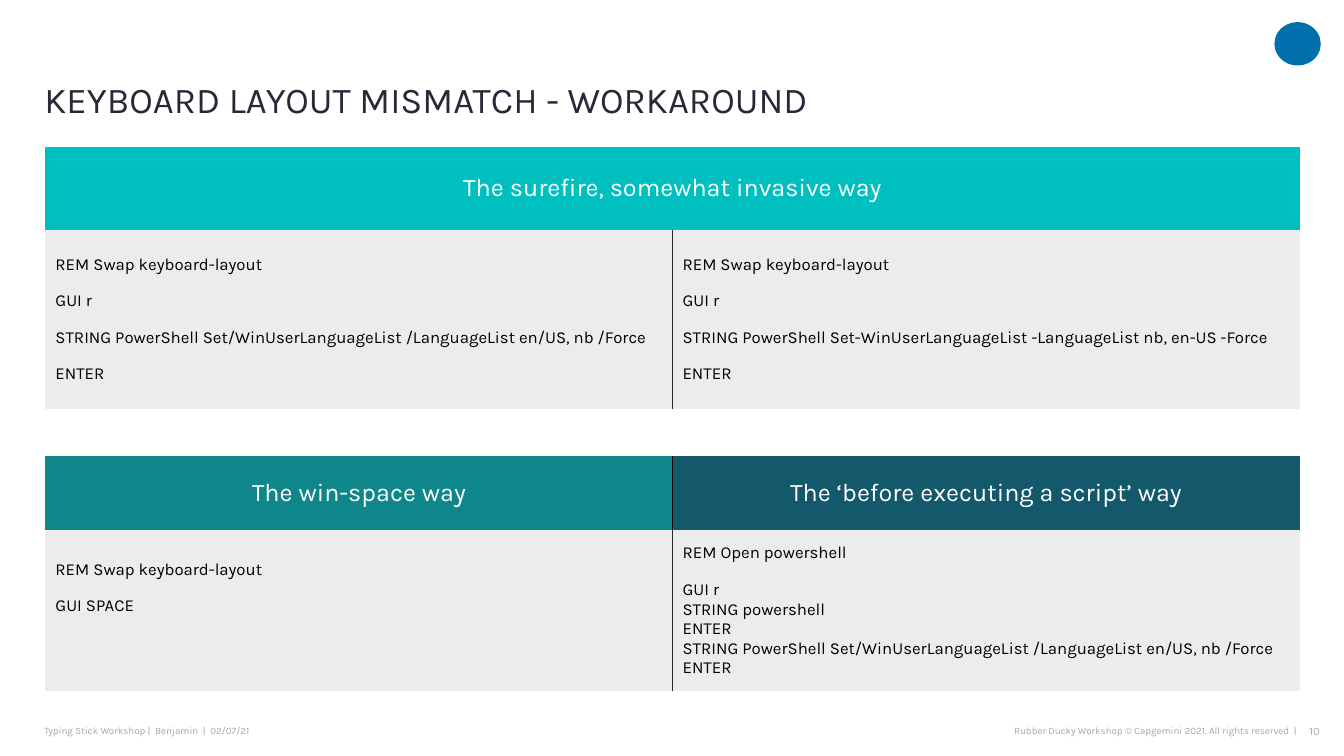
from dataclasses import dataclass
from lxml.etree import SubElement
from pptx import Presentation
from pptx.dml.color import RGBColor
from pptx.enum.shapes import MSO_SHAPE as Shape
from pptx.enum.text import MSO_ANCHOR as Anchor, PP_ALIGN as Align
from pptx.oxml import parse_xml
from pptx.oxml.ns import nsdecls, qn
from pptx.util import Inches, Pt


@dataclass(frozen=True)
class Theme:
    face: str = "Karla"
    ink: str = "272936"
    black: str = "000000"
    white: str = "FFFFFF"
    gray: str = "A6A6A6"
    panel: str = "ECECEC"
    aqua: str = "00BFBF"
    teal: str = "0F878A"
    navy: str = "14596B"
    blue: str = "0070AD"
    title: int = 26
    head: int = 18
    body: int = 12
    page: int = 8
    foot: int = 7
    rule: float = 1.5


look = Theme()

# Content
TITLE = "KEYBOARD LAYOUT MISMATCH - WORKAROUND"
SWAP = "REM Swap keyboard-layout"
FORCE = "STRING PowerShell Set/WinUserLanguageList /LanguageList en/US, nb /Force"
BACK = "STRING PowerShell Set-WinUserLanguageList -LanguageList nb, en-US -Force"
SURE = [
    [SWAP, "GUI r", FORCE, "ENTER"],
    [SWAP, "GUI r", BACK, "ENTER"],
]
SPACE = [[SWAP, "GUI SPACE"]]
BEFORE = [[
    "REM Open powershell",
    "\v".join(["GUI r", "STRING powershell ", "ENTER", FORCE, "ENTER"]),
]]

# Grid, in inches
WIDE, HIGH = 13.33, 7.5
EDGE, LEFT, COL = 0.44, 0.45, 6.22
MID = LEFT + COL
TOP, LOW = 1.46, 4.52
FOOT, LINE = 7.13, 0.24
PAD, LIFT = 0.05, 0.51
BARE = "{2D5ABB26-0587-4C30-8999-92F81FD0307C}"

# heading, fill, columns, left, top, row heights, heading rule, body rules,
# space under the body
TABLES = [
    ("The surefire, somewhat invasive way", look.aqua, SURE,
     LEFT, TOP, (0.82, 1.78), None, ("R", "L"), PAD),
    ("The win-space way", look.teal, SPACE,
     LEFT, LOW, (0.74, 1.6), None, (None,), LIFT),
    ("The ‘before executing a script’ way", look.navy, BEFORE,
     MID, LOW, (0.74, 1.6), "L", ("L",), PAD),
]

# text, left, top, width, height, size, colour, alignment, anchor
LABELS = [
    (TITLE, EDGE, 0.42, 11.97, 0.78, look.title, look.ink,
     Align.LEFT, Anchor.BOTTOM),
    ("Typing Stick Workshop |  Benjamin  |  02/07/21", EDGE, FOOT, 3.73, LINE,
     look.foot, look.gray, Align.LEFT, Anchor.MIDDLE),
    ("Rubber Ducky Workshop © Capgemini 2021. All rights reserved  |",
     7.9, FOOT, 4.96, LINE, look.foot, look.gray, Align.RIGHT, Anchor.MIDDLE),
    ("10", 12.84, FOOT, 0.25, LINE, look.page, look.gray,
     Align.RIGHT, Anchor.MIDDLE),
]


def write(frame, lines, size, color, align=Align.LEFT, after=0, lead=None):
    for i, line in enumerate(lines):
        para = frame.add_paragraph() if i else frame.paragraphs[0]
        para.text = line
        para.alignment = align
        para.space_after = Pt(after)
        if lead:
            para.line_spacing = lead
        font = para.font
        font.name, font.size, font.bold = look.face, Pt(size), False
        font.color.rgb = RGBColor.from_string(color)


def paint(cell, color):
    cell.fill.solid()
    cell.fill.fore_color.rgb = RGBColor.from_string(color)
    cell.vertical_anchor = Anchor.MIDDLE


def rule(cell, side, color):
    line = parse_xml(
        f'<a:ln{side} {nsdecls("a")} w="{Pt(look.rule)}"><a:solidFill>'
        f'<a:srgbClr val="{color}"/></a:solidFill></a:ln{side}>')
    cell._tc.get_or_add_tcPr().insert(0, line)


def label(slide, text, x, y, w, h, size, color, align, anchor):
    box = slide.shapes.add_textbox(*map(Inches, (x, y, w, h)))
    frame = box.text_frame
    frame.word_wrap = True
    frame.vertical_anchor = anchor
    frame.margin_left = frame.margin_right = 0
    frame.margin_top = frame.margin_bottom = 0
    lead = 0.9 if size == look.title else None
    write(frame, [text], size, color, align, lead=lead)


def panel(slide, head, fill, cols, x, y, rows, edge, sides, under):
    count = len(cols)
    size = map(Inches, (x, y, COL * count, sum(rows)))
    table = slide.shapes.add_table(2, count, *size).table
    table.first_row = table.horz_banding = False
    props = table._tbl.tblPr
    style = props.find(qn("a:tableStyleId"))
    if style is None:
        style = SubElement(props, qn("a:tableStyleId"))
    style.text = BARE
    for row, high in zip(table.rows, rows):
        row.height = Inches(high)
    for col in table.columns:
        col.width = Inches(COL)

    # Heading
    top = table.cell(0, 0)
    if count > 1:
        top.merge(table.cell(0, count - 1))
    paint(top, fill)
    write(top.text_frame, [head], look.head, look.white, Align.CENTER)
    if edge:
        rule(top, edge, look.black)

    # Scripts
    for i, (lines, side) in enumerate(zip(cols, sides)):
        cell = table.cell(1, i)
        paint(cell, look.panel)
        cell.margin_bottom = Inches(under)
        write(cell.text_frame, lines, look.body, look.black, after=12)
        if side:
            rule(cell, side, look.ink)


def main():
    deck = Presentation()
    deck.slide_width, deck.slide_height = Inches(WIDE), Inches(HIGH)
    slide = deck.slides.add_slide(deck.slide_layouts[6])

    # Corner mark
    mark = slide.shapes.add_shape(
        Shape.OVAL, *map(Inches, (12.64, 0.22, 0.46, 0.43)))
    mark.shadow.inherit = False
    mark.fill.solid()
    mark.fill.fore_color.rgb = RGBColor.from_string(look.blue)
    mark.line.fill.background()

    for item in LABELS:
        label(slide, *item)
    for item in TABLES:
        panel(slide, *item)
    deck.save("out.pptx")


if __name__ == "__main__":
    main()
